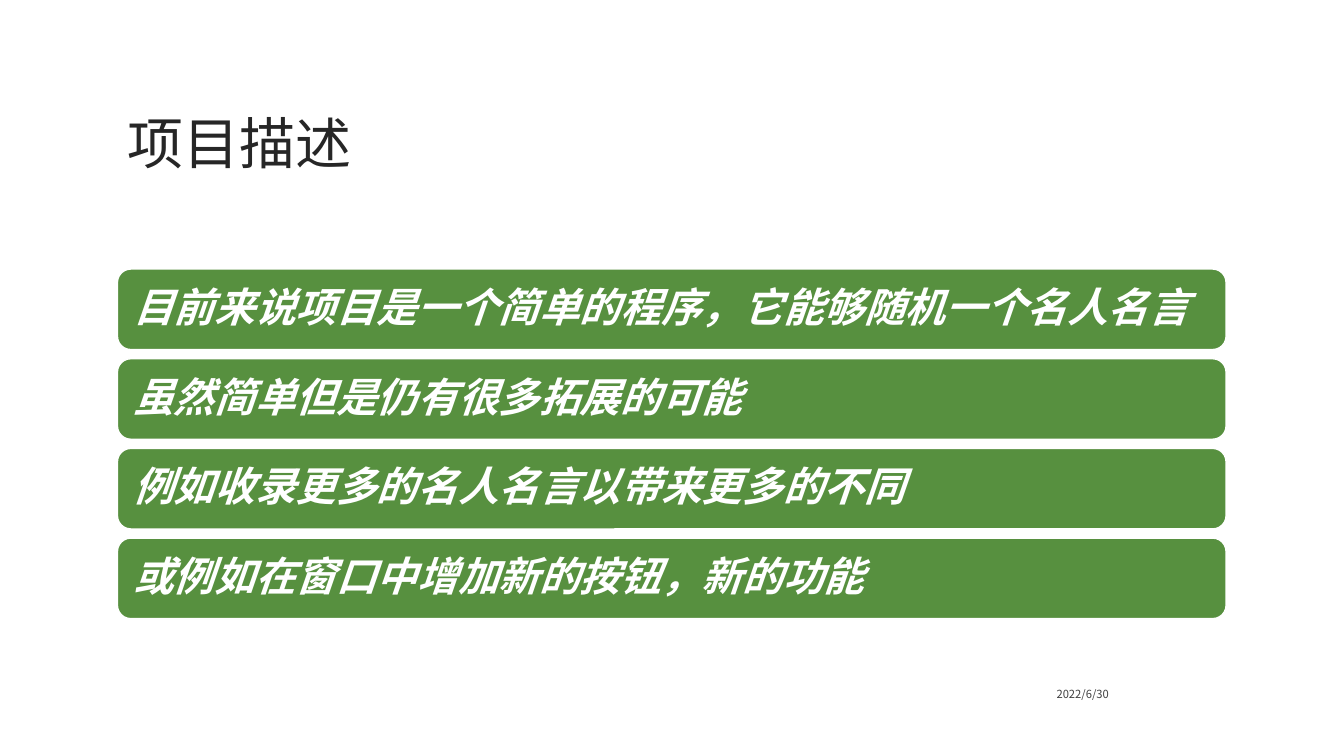
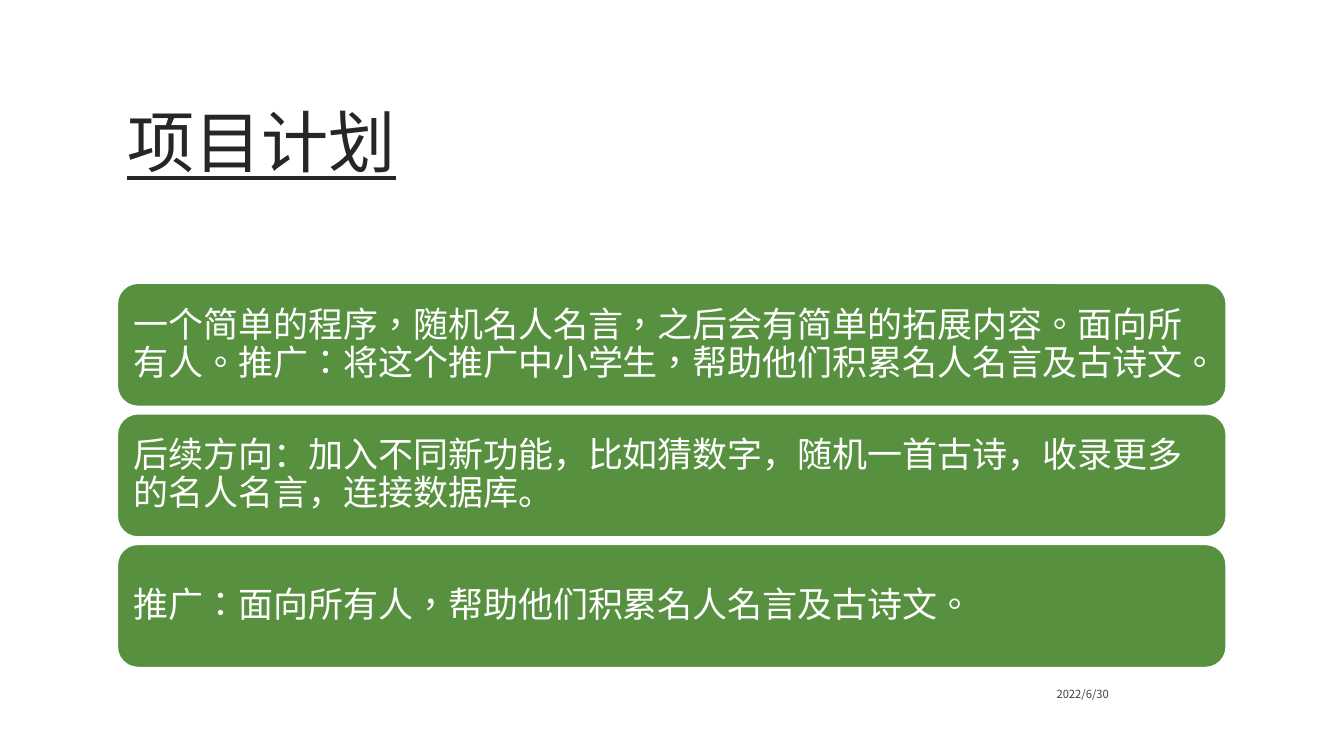
from lxml.etree import SubElement
from pptx import Presentation
from pptx.dml.color import RGBColor
from pptx.enum.lang import MSO_LANGUAGE_ID
from pptx.enum.shapes import MSO_SHAPE
from pptx.enum.text import MSO_ANCHOR, PP_ALIGN
from pptx.oxml.ns import qn
from pptx.util import Cm, Pt

SIMPLIFIED = MSO_LANGUAGE_ID.SIMPLIFIED_CHINESE
TRADITIONAL = MSO_LANGUAGE_ID.TRADITIONAL_CHINESE


def color(value):
    return RGBColor.from_string(value)


class SlideBuilder:
    GREEN = "57903F"
    WHITE = "FFFFFF"
    TITLE_COLOR = "262626"
    DATE_COLOR = "404040"
    PLAIN_FONT = "Noto Sans CJK SC"
    BAR_FONT = "Quicksand"
    LEFT = 2.96
    WIDTH = 27.94

    def __init__(self):
        self.deck = Presentation()
        self.deck.slide_width = Cm(33.87)
        self.deck.slide_height = Cm(19.05)
        self.page = None

    def new_page(self, title, title_size, underline=None):
        self.page = self.deck.slides.add_slide(self.deck.slide_layouts[6])
        self.title(title, title_size, underline)
        self.date("2022/6/30")

    def add_text(self, box, text, size, font, fill, anchor, language=SIMPLIFIED):
        frame = box.text_frame
        frame.word_wrap = True
        frame.vertical_anchor = anchor
        para = frame.paragraphs[0]
        span = para.add_run()
        span.text = text
        span.font.size = Pt(size)
        span.font.name = font
        span.font.color.rgb = color(fill)
        span.font.language_id = language
        SubElement(span.font._element, qn("a:ea")).set("typeface", font)
        return para, span

    def title(self, text, size, underline):
        box = self.page.shapes.add_textbox(Cm(self.LEFT), Cm(1.78), Cm(self.WIDTH), Cm(3.81))
        para, span = self.add_text(box, text, size, self.PLAIN_FONT, self.TITLE_COLOR, MSO_ANCHOR.MIDDLE)
        para.line_spacing = 0.9
        span.font.underline = underline

    def date(self, text):
        box = self.page.shapes.add_textbox(Cm(20.17), Cm(16.76), Cm(8.03), Cm(1.02))
        para, _ = self.add_text(box, text, 8, self.PLAIN_FONT, self.DATE_COLOR, MSO_ANCHOR.BOTTOM)
        para.alignment = PP_ALIGN.RIGHT

    def bar(self, text, top, height, size, margin, bold, language):
        box = self.page.shapes.add_shape(
            MSO_SHAPE.ROUNDED_RECTANGLE, Cm(self.LEFT), Cm(top), Cm(self.WIDTH), Cm(height))
        box.shadow.inherit = False
        box.fill.solid()
        box.fill.fore_color.rgb = color(self.GREEN)
        box.line.color.rgb = color(self.WHITE)
        box.line.width = Pt(1)
        frame = box.text_frame
        frame.margin_left = frame.margin_right = Cm(margin)
        frame.margin_top = frame.margin_bottom = Cm(margin)
        para, span = self.add_text(box, text, size, self.BAR_FONT, self.WHITE, MSO_ANCHOR.MIDDLE, language)
        para.alignment = PP_ALIGN.LEFT
        para.line_spacing = 0.9
        span.font.bold = span.font.italic = bold

    def bars(self, items, top, height, gap, size, margin, bold=False):
        for index, (text, language) in enumerate(items):
            self.bar(text, top + index * (height + gap), height, size, margin, bold, language)


def main():
    builder = SlideBuilder()

    builder.new_page("项目描述", 40)
    builder.bars([
        ("目前来说项目是一个简单的程序，它能够随机一个名人名言", SIMPLIFIED),
        ("虽然简单但是仍有很多拓展的可能", SIMPLIFIED),
        ("例如收录更多的名人名言以带来更多的不同", SIMPLIFIED),
        ("或例如在窗口中增加新的按钮，新的功能", SIMPLIFIED),
    ], top=6.78, height=2.03, gap=0.23, size=29, margin=0.3, bold=True)

    builder.new_page("项目计划", 48, underline=True)
    builder.bars([
        ("一个简单的程序，随机名人名言，之后会有简单的拓展内容。面向所有人。"
         "推广：将这个推广中小学生，帮助他们积累名人名言及古诗文。", TRADITIONAL),
        ("后续方向：加入不同新功能，比如猜数字，随机一首古诗，"
         "收录更多的名人名言，连接数据库。", SIMPLIFIED),
        ("推广：面向所有人，帮助他们积累名人名言及古诗文。", TRADITIONAL),
    ], top=7.14, height=3.1, gap=0.19, size=25, margin=0.26)

    builder.deck.save("out.pptx")


if __name__ == "__main__":
    main()
